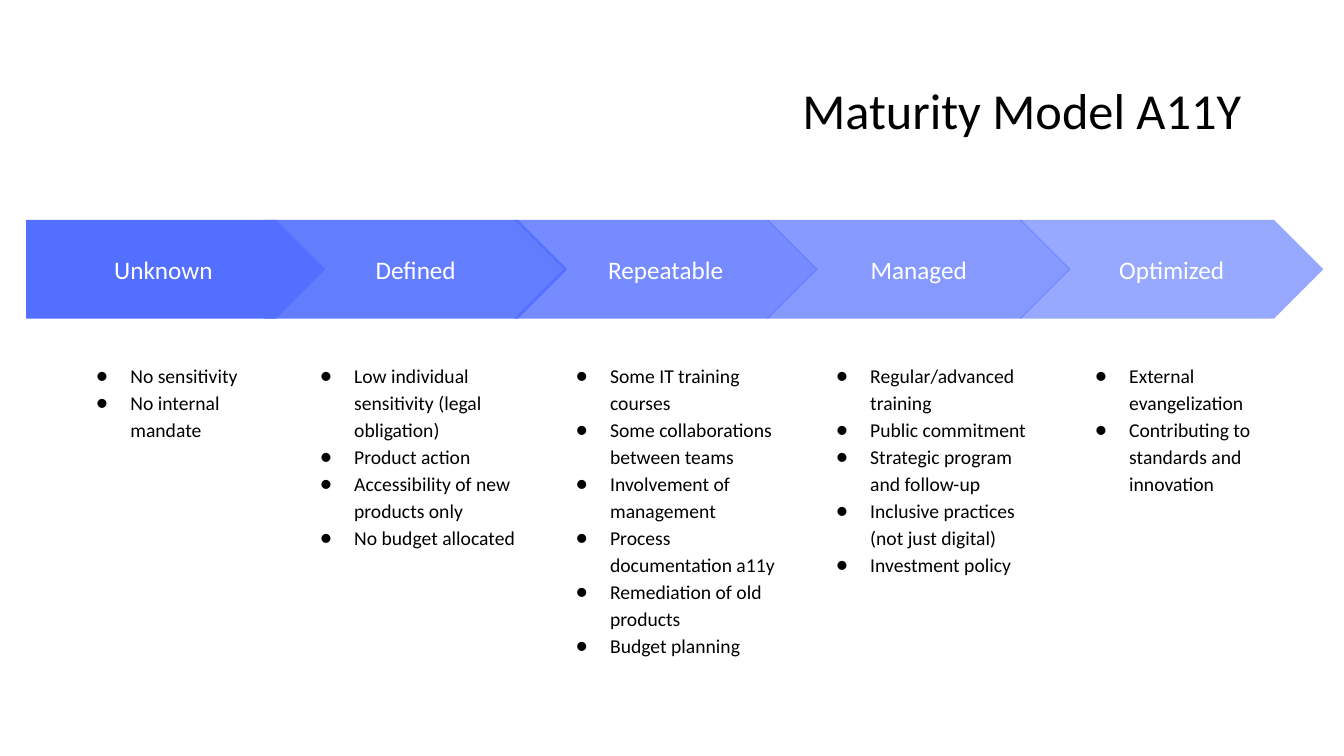
from lxml import etree
from pptx import Presentation
from pptx import util as u
from pptx.dml.color import RGBColor
from pptx.enum import shapes, text
from pptx.oxml import ns

COLORS = {"blue": "536FFF", "white": "FFFFFF", "black": "000000"}
FONT = "Calibri"
INSET = 9.6
ARROW_TOP, ARROW_H = 157, 70.6
LIST_TOP = 247.7

STAGES = [
    ("Unknown", 100, (18.7, 213.8), (47.5, 157, 247),
     ["No sensitivity", "No internal mandate"]),
    ("Defined", 90, (188.6, 216.7), (207.4, 170.6, 247),
     ["Low individual sensitivity (legal obligation)", "Product action",
      "Accessibility of new products only", "No budget allocated"]),
    ("Repeatable", 80, (367.2, 216.7), (390.2, 183.6, 278),
     ["Some IT training courses", "Some collaborations between teams",
      "Involvement of management", "Process documentation a11y",
      "Remediation of old products", "Budget planning"]),
    ("Optimized", 60, (728.6, 216.7), (761, 170.6, 247),
     ["External evangelization", "Contributing to standards and innovation"]),
    ("Managed", 70, (547.9, 216.7), (576, 180.7, 247),
     ["Regular/advanced training", "Public commitment",
      "Strategic program and follow-up",
      "Inclusive practices (not just digital)", "Investment policy"]),
]


def rgb(name):
    """Return the named colour."""
    return RGBColor.from_string(COLORS[name])


def set_frame(tf, inset, anchor):
    """Wrap the text frame and set its insets and anchor."""
    tf.word_wrap = True
    tf.vertical_anchor = anchor
    tf.margin_left = tf.margin_right = u.Pt(inset[0])
    tf.margin_top = tf.margin_bottom = u.Pt(inset[1])


def add_run(p, words, size, color):
    """Add one formatted run to a paragraph."""
    r = p.add_run()
    r.text = words
    r.font.size = u.Pt(size)
    r.font.name = FONT
    r.font.color.rgb = rgb(color)


def add_title(s, words, box):
    """Place the right-aligned slide title."""
    sp = s.shapes.add_textbox(*map(u.Pt, box))
    set_frame(sp.text_frame, (7.2, 3.6), text.MSO_ANCHOR.MIDDLE)
    p = sp.text_frame.paragraphs[0]
    p.alignment = text.PP_ALIGN.RIGHT
    p.line_spacing = 0.9
    add_run(p, words, 36, "black")


def add_arrow(parent, kind, label, opacity, box):
    """Place one labelled stage arrow with the given opacity."""
    sp = parent.shapes.add_shape(kind, *map(u.Pt, box))
    sp.shadow.inherit = False
    sp.adjustments[0] = 0.5
    sp.fill.solid()
    sp.fill.fore_color.rgb = rgb("blue")
    if opacity < 100:
        clr = sp._element.spPr.find(".//" + ns.qn("a:srgbClr"))
        etree.SubElement(clr, ns.qn("a:alpha"), val=str(opacity * 1000))
    sp.line.fill.background()
    set_frame(sp.text_frame, (INSET, INSET), text.MSO_ANCHOR.MIDDLE)
    p = sp.text_frame.paragraphs[0]
    p.alignment = text.PP_ALIGN.CENTER
    add_run(p, label, 18, "white")


def add_bullets(parent, items, box):
    """Place the bulleted list of one stage."""
    sp = parent.shapes.add_textbox(*map(u.Pt, box))
    tf = sp.text_frame
    set_frame(tf, (INSET, INSET), text.MSO_ANCHOR.TOP)
    for i, item in enumerate(items):
        p = tf.add_paragraph() if i else tf.paragraphs[0]
        pPr = p._p.get_or_add_pPr()
        pPr.set("marL", str(u.Pt(36)))
        pPr.set("indent", str(u.Pt(-24.4)))
        etree.SubElement(pPr, ns.qn("a:buFont"), typeface=FONT)
        etree.SubElement(pPr, ns.qn("a:buChar"), char="●")
        p.line_spacing = 1.15
        add_run(p, item, 14, "black")


def add_stage(s, kind, label, opacity, arrow, column, items):
    """Group one stage arrow with the list below it."""
    group = s.shapes.add_group_shape()
    left, width = arrow
    add_arrow(group, kind, label, opacity, (left, ARROW_TOP, width, ARROW_H))
    left, width, height = column
    add_bullets(group, items, (left, LIST_TOP, width, height))


def main():
    """Build and save the slide."""
    prs = Presentation()
    prs.slide_width, prs.slide_height = u.Pt(960), u.Pt(540)
    s = prs.slides.add_slide(prs.slide_layouts[6])
    add_title(s, "Maturity Model A11Y", (66, 28.8, 828, 104.4))
    for i, stage in enumerate(STAGES):
        kind = shapes.MSO_SHAPE.CHEVRON if i else shapes.MSO_SHAPE.PENTAGON
        add_stage(s, kind, *stage)
    prs.save("out.pptx")


if __name__ == "__main__":
    main()
